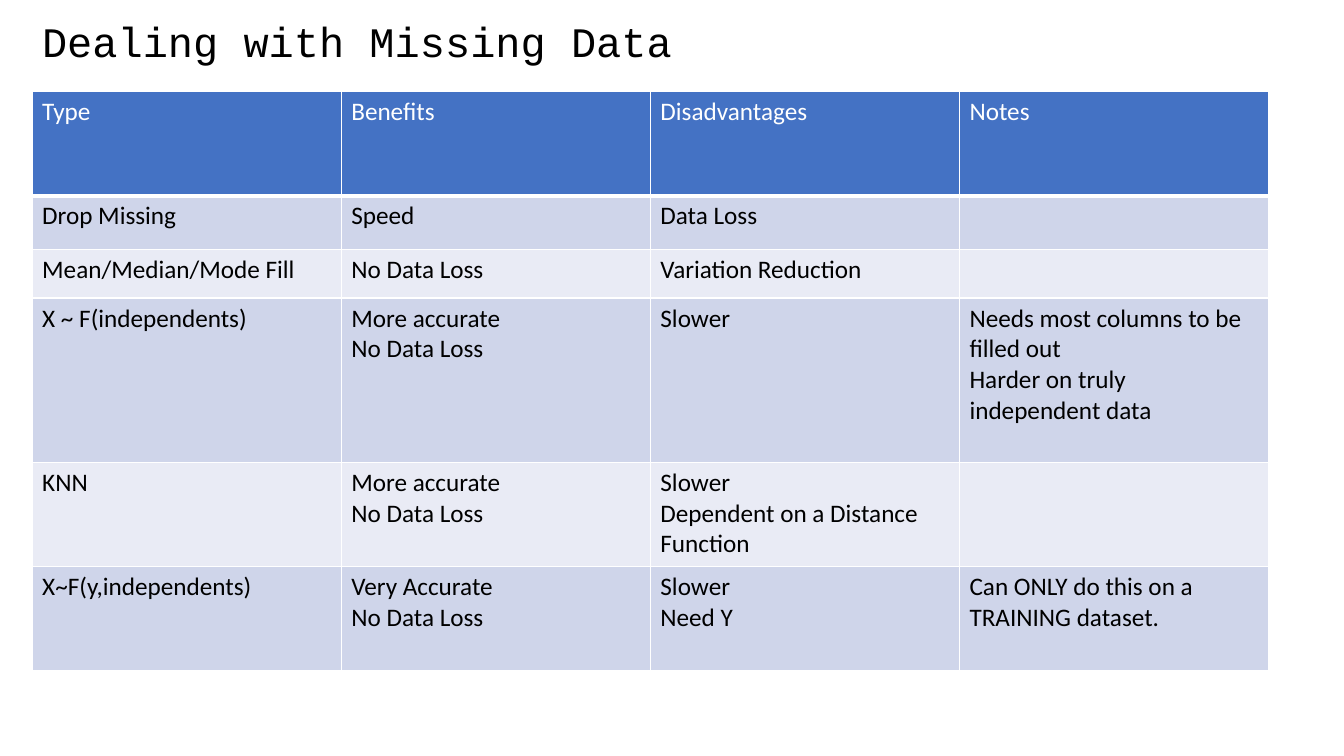
from lxml import etree
from pptx import Presentation
from pptx.dml.color import RGBColor
from pptx.oxml.ns import qn
from pptx.util import Cm, Pt

COLORS = {
    "header": "4472C4",
    "dark band": "CFD5EA",
    "light band": "E9EBF5",
    "white": "FFFFFF",
    "black": "000000",
}
COLUMN_WIDTH = 7.79
ROW_HEIGHTS = [2.62, 1.35, 1.23, 4.14, 2.62, 2.62]
ROWS = [
    ["Type", "Benefits", "Disadvantages", "Notes"],
    ["Drop Missing", "Speed", "Data Loss", ""],
    ["Mean/Median/Mode Fill", "No Data Loss", "Variation Reduction", ""],
    ["X ~ F(independents)", "More accurate\nNo Data Loss", "Slower",
     "Needs most columns to be filled out\nHarder on truly independent data"],
    ["KNN", "More accurate\nNo Data Loss",
     "Slower\nDependent on a Distance Function", ""],
    ["X~F(y,independents)", "Very Accurate\nNo Data Loss", "Slower\nNeed Y",
     "Can ONLY do this on a TRAINING dataset."],
]


def style_text(paragraph, font_name, size, color):
    for font in [paragraph.font] + [span.font for span in paragraph.runs]:
        font.name = font_name
        font.size = Pt(size)
        font.color.rgb = RGBColor.from_string(COLORS[color])


def add_borders(cell, widths):
    """Draw white cell borders; widths maps a:lnX side letters to points."""
    properties = cell._tc.get_or_add_tcPr()
    for position, (side, width) in enumerate(widths.items()):
        line = etree.Element(qn(f"a:ln{side}"), w=str(Pt(width)))
        fill = etree.SubElement(line, qn("a:solidFill"))
        etree.SubElement(fill, qn("a:srgbClr"), val=COLORS["white"])
        properties.insert(position, line)


deck = Presentation()
deck.slide_width = Cm(33.87)
deck.slide_height = Cm(19.05)
page = deck.slides.add_slide(deck.slide_layouts[6])

title_box = page.shapes.add_textbox(Cm(0.81), Cm(0.41), Cm(32.26), Cm(2.74))
title_box.text_frame.word_wrap = True
title_box.text_frame.text = "Dealing with Missing Data"
title = title_box.text_frame.paragraphs[0]
title.line_spacing = 0.9
title.space_before = Pt(6)
style_text(title, "Courier New", 30, "black")

table = page.shapes.add_table(
    len(ROWS), len(ROWS[0]), Cm(0.81), Cm(2.31),
    Cm(COLUMN_WIDTH * len(ROWS[0])), Cm(sum(ROW_HEIGHTS))).table
for column in table.columns:
    column.width = Cm(COLUMN_WIDTH)

for row_index, (texts, height) in enumerate(zip(ROWS, ROW_HEIGHTS)):
    table.rows[row_index].height = Cm(height)
    if row_index == 0:
        band, text_color = "header", "white"
    else:
        band = "dark band" if row_index % 2 else "light band"
        text_color = "black"
    borders = {"L": 1, "R": 1, "T": 3 if row_index == 1 else 1,
               "B": 3 if row_index == 0 else 1}
    for column_index, text in enumerate(texts):
        cell = table.cell(row_index, column_index)
        cell.fill.solid()
        cell.fill.fore_color.rgb = RGBColor.from_string(COLORS[band])
        add_borders(cell, borders)
        cell.text_frame.text = text
        for paragraph in cell.text_frame.paragraphs:
            style_text(paragraph, "Calibri", 18, text_color)
            for span in paragraph.runs:
                span.font.bold = False

deck.save("out.pptx")
